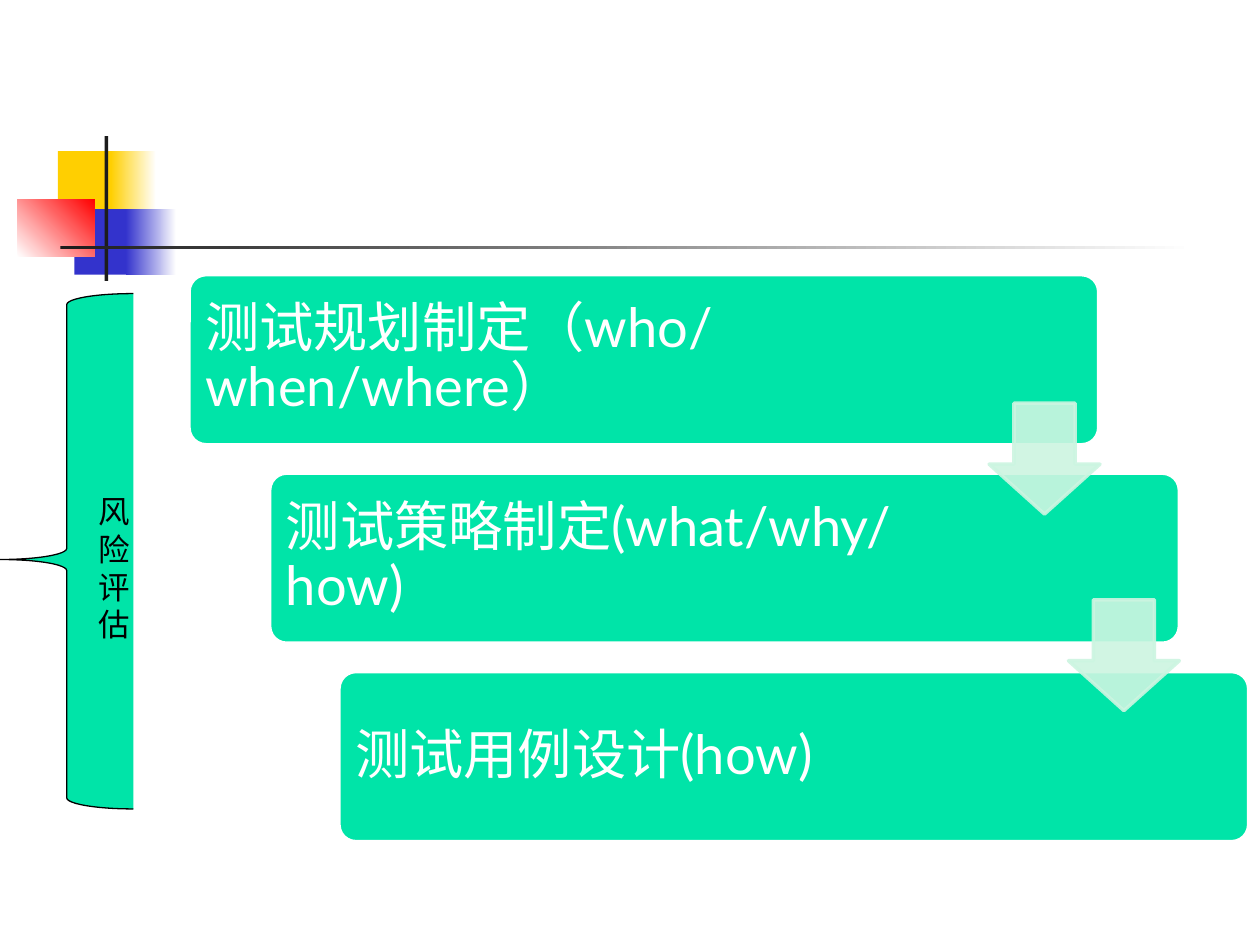
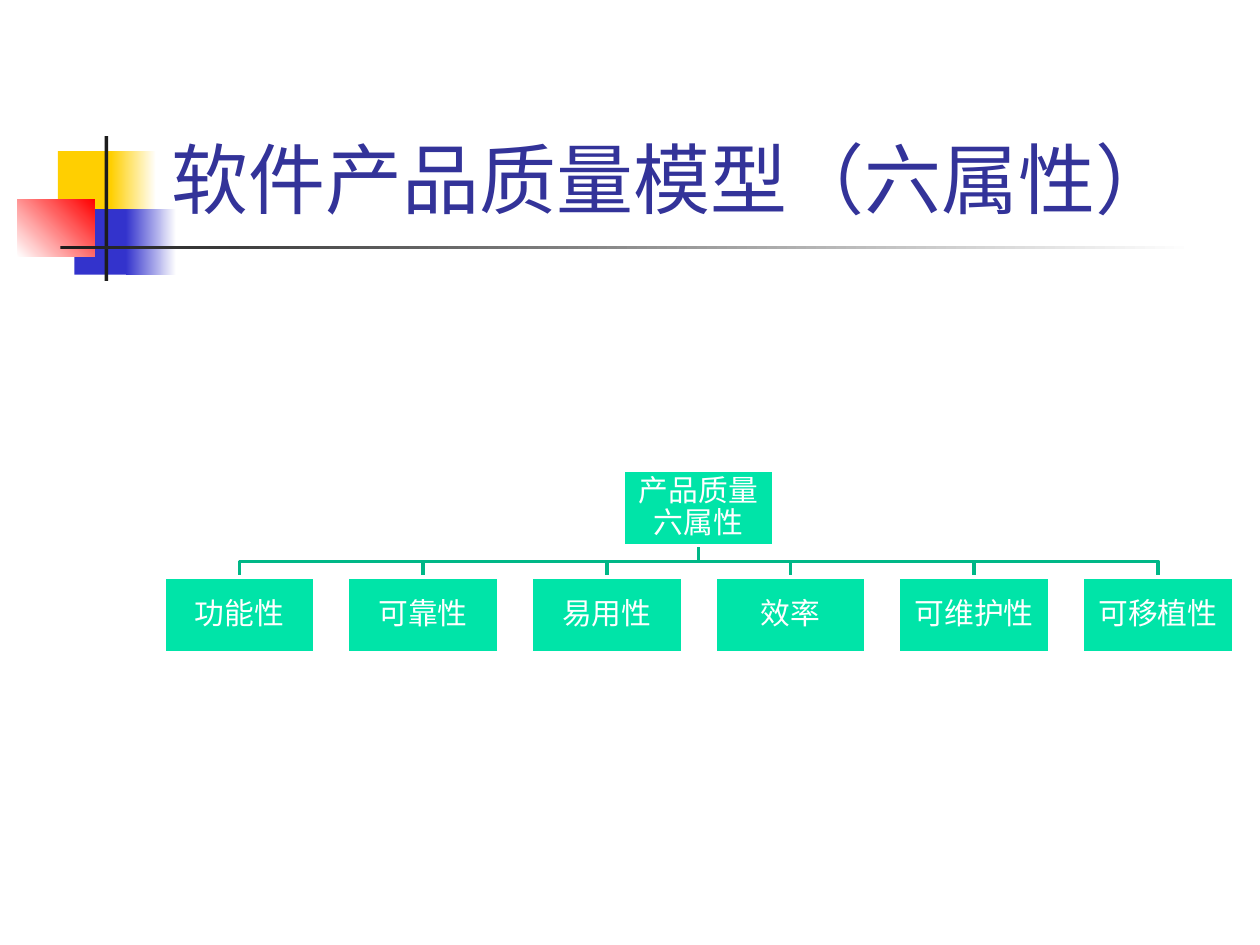
from lxml.etree import SubElement
from pptx import Presentation
from pptx.dml.color import RGBColor
from pptx.enum.shapes import MSO_SHAPE as Shape
from pptx.enum.text import MSO_ANCHOR as Anchor, PP_ALIGN as Align
from pptx.oxml.ns import qn
from pptx.util import Inches, Pt

# Content
STEPS = [
    (1.5, "测试规划制定（who/when/where）"),
    (2.14, "测试策略制定(what/why/how)"),
    (2.69, "测试用例设计(how)"),
]
BRACE_LABEL = "风险评估"
TITLE = "软件产品质量模型（六属性）"
ROOT = "产品质量六属性"
ATTRIBUTES = ["功能性", "可靠性", "易用性", "效率", "可维护性", "可移植性"]

# Shared style
FONT = "Lato"
GREEN, PALE_GREEN, DARK_GREEN = "00E4A8", "CCF5E1", "00B787"
YELLOW, BLUE, RED, INK = "FFCF01", "3333CC", "FF0000", "1C1C1C"
WHITE, BLACK, TITLE_BLUE = "FFFFFF", "000000", "333399"

# Corner ornament: left, top, width, height, colours, gradient angle
ORNAMENT = [
    (0.46, 1.2, 0.48, 0.52, [YELLOW], 0),
    (0.88, 1.2, 0.36, 0.52, [YELLOW, WHITE], 0),
    (0.59, 1.66, 0.46, 0.52, [BLUE], 0),
    (1, 1.66, 0.4, 0.52, [BLUE, WHITE], 0),
    (0.14, 1.58, 0.61, 0.46, [WHITE, RED], 45),
    (0.83, 1.08, 0.03, 1.15, [INK], 0),
    (0.48, 1.95, 9, 0.03, [INK, WHITE], 0),
]


def color(value):
    return RGBColor.from_string(value)


def add_block(page, kind, place, fill, line=None, width=2, adjust=()):
    """Add a preset shape with a plain fill and an optional outline."""
    block = page.shapes.add_shape(kind, *map(Inches, place))
    block.shadow.inherit = False
    block.fill.solid()
    block.fill.fore_color.rgb = color(fill)
    if line:
        block.line.color.rgb = color(line)
        block.line.width = Pt(width)
    else:
        block.line.fill.background()
    for index, value in enumerate(adjust):
        block.adjustments[index] = value
    return block


def write(box, text, size, text_color, insets, align=Align.LEFT,
          anchor=Anchor.MIDDLE, spacing=0.9):
    """Fill a shape with one paragraph; insets run left, top, right, bottom."""
    frame = box.text_frame
    frame.word_wrap = True
    frame.vertical_anchor = anchor
    (frame.margin_left, frame.margin_top,
     frame.margin_right, frame.margin_bottom) = map(Inches, insets)
    frame.text = text
    para = frame.paragraphs[0]
    para.alignment = align
    para.line_spacing = spacing
    font = para.runs[0].font
    font.name, font.size = FONT, Pt(size)
    font.color.rgb = color(text_color)


def set_opacity(block, percent):
    for element in block._element.spPr.iter(qn("a:srgbClr")):
        SubElement(element, qn("a:alpha")).set("val", str(percent * 1000))


def add_page(deck):
    page = deck.slides.add_slide(deck.slide_layouts[6])
    for *place, colors, angle in ORNAMENT:
        block = add_block(page, Shape.RECTANGLE, place, colors[0])
        if len(colors) > 1:
            block.fill.gradient()
            block.fill.gradient_angle = angle
            for stop, value in zip(block.fill.gradient_stops, colors):
                stop.color.rgb = color(value)
    return page


def build_steps(deck):
    page = add_page(deck)
    top, pitch = 2.18, 1.575

    # Staggered steps
    for row, (left, text) in enumerate(STEPS):
        place = (left, top + row * pitch, 7.22, 1.35)
        step = add_block(page, Shape.ROUNDED_RECTANGLE, place, GREEN, WHITE,
                         adjust=[0.1])
        write(step, text, 31, WHITE, (0.09, 0.09, 1.55, 0.09))

    # Arrows between neighbouring steps
    for gap in range(len(STEPS) - 1):
        place = (7.85 + gap * 0.63, 3.2 + gap * 1.56, 0.88, 0.88)
        arrow = add_block(page, Shape.DOWN_ARROW, place, PALE_GREEN,
                          PALE_GREEN, adjust=[0.55, 0.45])
        set_opacity(arrow, 90)

    # Brace over all the steps
    brace = add_block(page, Shape.LEFT_BRACE, (0, 2.33, 1.06, 4.09), GREEN,
                      BLACK, 0.75, [0.083, 0.516])
    write(brace, BRACE_LABEL, 18, BLACK, (0.1, 1.55, 0.1, 0.05),
          anchor=Anchor.TOP, spacing=1.0)


def build_quality_tree(deck):
    page = add_page(deck)
    title = page.shapes.add_textbox(*map(Inches, (1.26, 0.23, 8.52, 1.6)))
    write(title, TITLE, 44, TITLE_BLUE, (0.1, 0.05, 0.1, 0.05),
          anchor=Anchor.BOTTOM, spacing=1.0)

    # Tree geometry
    width, height, first_left, pitch = 1.2, 0.6, 1.3, 1.458
    root_top, leaf_top = 3.73, 4.58
    root_bottom = root_top + height
    bend = (root_bottom + leaf_top) / 2
    lefts = [first_left + i * pitch for i in range(len(ATTRIBUTES))]
    root_left = (lefts[0] + lefts[-1]) / 2
    root_center = root_left + width / 2

    # Elbow branches
    for left in lefts:
        center = left + width / 2
        points = [(root_center, bend), (center, bend), (center, leaf_top)]
        builder = page.shapes.build_freeform(Inches(root_center),
                                             Inches(root_bottom))
        builder.add_line_segments(
            [(Inches(x), Inches(y)) for x, y in points], close=False)
        branch = builder.convert_to_shape()
        branch.shadow.inherit = False
        branch.fill.background()
        branch.line.color.rgb = color(DARK_GREEN)
        branch.line.width = Pt(2)

    # Root and leaves
    nodes = [(root_left, root_top, ROOT)]
    nodes += [(left, leaf_top, name) for left, name in zip(lefts, ATTRIBUTES)]
    for left, top, name in nodes:
        node = add_block(page, Shape.RECTANGLE, (left, top, width, height),
                         GREEN, WHITE)
        write(node, name, 17, WHITE, [0.01] * 4, Align.CENTER)


def main():
    deck = Presentation()
    deck.slide_width, deck.slide_height = Inches(10), Inches(7.5)
    build_steps(deck)
    build_quality_tree(deck)
    deck.save("out.pptx")


if __name__ == "__main__":
    main()
